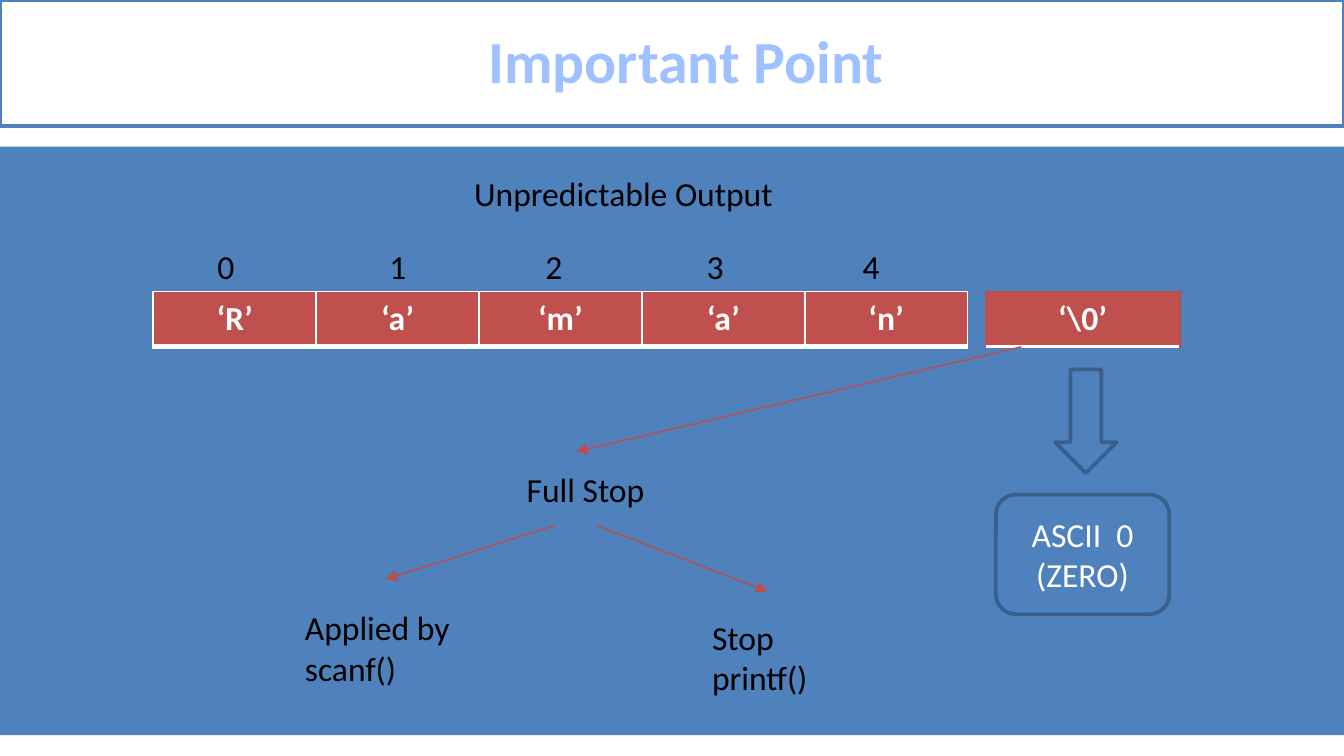
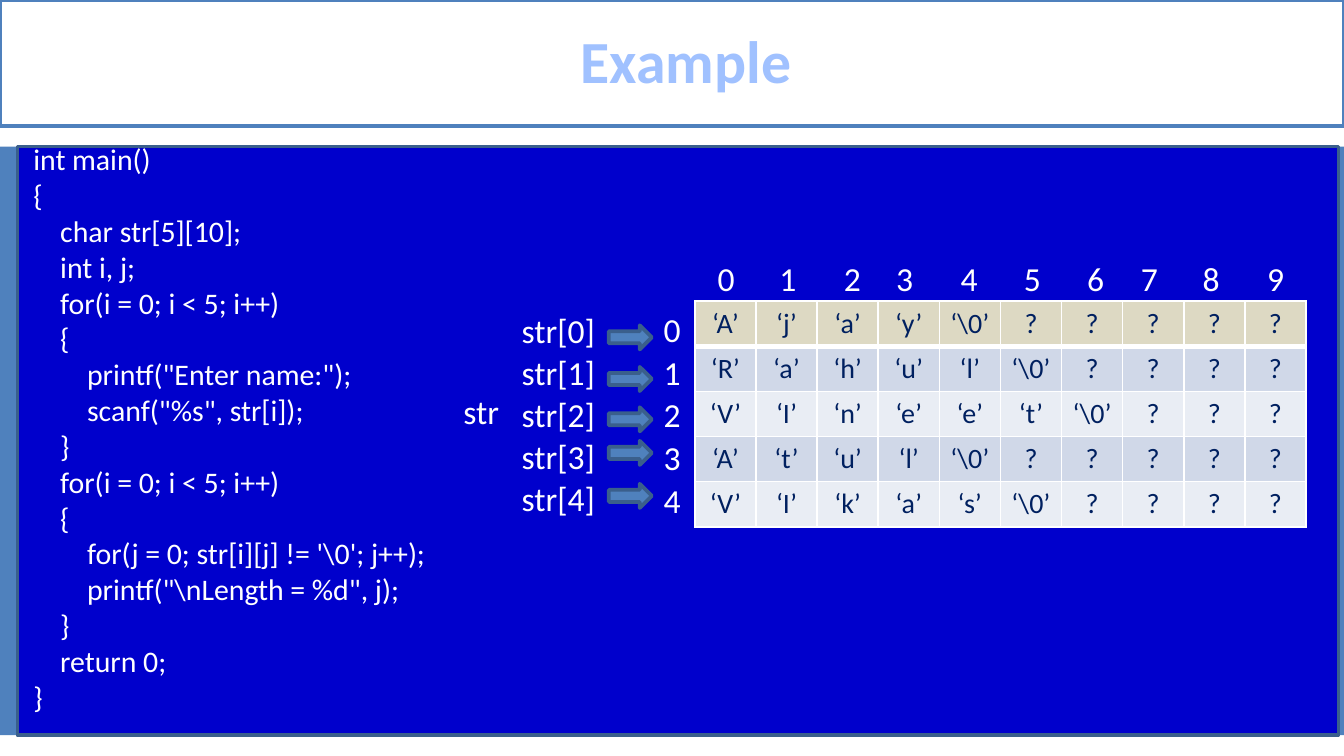
"""Build two slides on C strings: the terminator and an array of names."""
import dataclasses

import lxml.etree
import pptx
import pptx.dml.color
import pptx.enum.shapes
import pptx.enum.text
import pptx.oxml.ns
import pptx.util

Inches = pptx.util.Inches
Pt = pptx.util.Pt
RGB = pptx.dml.color.RGBColor.from_string
qn = pptx.oxml.ns.qn
SHAPE = pptx.enum.shapes.MSO_SHAPE
LEFT = pptx.enum.text.PP_ALIGN.LEFT
CENTER = pptx.enum.text.PP_ALIGN.CENTER
MIDDLE = pptx.enum.text.MSO_ANCHOR.MIDDLE


@dataclasses.dataclass(frozen=True)
class Theme:
    font: str = "Calibri"
    white: str = "FFFFFF"
    black: str = "000000"
    blue: str = "4F81BD"
    outline: str = "3A5F8C"
    title: str = "A0C1FF"
    code_panel: str = "0000CC"
    red: str = "C0504D"
    red_line: str = "BF4C48"
    navy: str = "002060"
    tan: str = "DDD9C3"
    band_dark: str = "D0D8E8"
    band_light: str = "E9EDF4"
    title_size: int = 32
    body_size: int = 18
    code_size: int = 16
    grid_size: int = 15


theme = Theme()


def write(frame, text, size, color, align=LEFT, bold=False):
    frame.text = text
    for para in frame.paragraphs:
        para.alignment = align
        for span in para.runs:
            span.font.name = theme.font
            span.font.size = Pt(size)
            span.font.bold = bold
            span.font.color.rgb = RGB(color)


def add_block(page, kind, area, fill, line=None):
    block = page.shapes.add_shape(kind, *map(Inches, area))
    block.shadow.inherit = False
    block.fill.solid()
    block.fill.fore_color.rgb = RGB(fill)
    if line:
        block.line.color.rgb = RGB(line)
        block.line.width = Pt(2)
    else:
        block.line.fill.background()
    return block


deck = pptx.Presentation()
deck.slide_width = Inches(10)
deck.slide_height = Inches(10 * 9 / 16)

pages = []
for heading in ("Important Point", "Example"):
    page = deck.slides.add_slide(deck.slide_layouts[6])
    add_block(page, SHAPE.RECTANGLE, (0, 1.09, 10, 4.38), theme.blue)
    band = add_block(page, SHAPE.RECTANGLE, (0, 0, 10, 0.94), theme.white, theme.blue)
    band.text_frame.vertical_anchor = MIDDLE
    write(band.text_frame, heading, theme.title_size, theme.title, CENTER, True)
    title_para = band.text_frame.paragraphs[0]
    title_para.line_spacing = 0.96
    title_para._p.get_or_add_pPr().set("marL", str(Inches(0.21)))
    pages.append(page)
point_page, example_page = pages

add_block(example_page, SHAPE.RECTANGLE, (0.13, 1.09, 9.83, 4.38), theme.code_panel, theme.outline)

names = [
    ["‘A’", "‘j’", "‘a’", "‘y’", "‘\\0’"],
    ["‘R’", "‘a’", "‘h’", "‘u’", "‘l’", "‘\\0’"],
    ["‘V’", "‘I’", "‘n’", "‘e’", "‘e’", "‘t’", "‘\\0’"],
    ["‘A’", "‘t’", "‘u’", "‘l’", "‘\\0’"],
    ["‘V’", "‘I’", "‘k’", "‘a’", "‘s’", "‘\\0’"],
]
name_rows = [name + ["?"] * (10 - len(name)) for name in names]
name_fills = [theme.tan] + [theme.band_dark, theme.band_light] * 2
letters = [["‘R’", "‘a’", "‘m’", "‘a’", "‘n’"]]

tables = [
    (point_page, letters, (1.14, 2.17, 6.06, 0.41), [theme.red], theme.body_size,
     theme.white, True, (0.09, 0.05), (theme.white, 1), 3),
    (point_page, [["‘\\0’"]], (7.33, 2.17, 1.45, 0.41), [theme.red], theme.body_size,
     theme.white, True, (0.02, 0.05), (theme.red_line, 0.75), 2),
    (example_page, name_rows, (5.17, 2.24, 4.55, 1.68), name_fills, theme.grid_size,
     theme.navy, False, (0.07, 0.04), (theme.white, 1), 3),
]
for page, rows, area, fills, size, color, bold, margins, thin, heavy in tables:
    table = page.shapes.add_table(len(rows), len(rows[0]), *map(Inches, area)).table
    table.first_row = table.horz_banding = False
    heavy_line = (theme.white, heavy)
    for row_index, row in enumerate(rows):
        borders = {
            "a:lnL": thin,
            "a:lnR": thin,
            "a:lnT": heavy_line if row_index == 1 else thin,
            "a:lnB": heavy_line if row_index == 0 else thin,
        }
        for column_index, text in enumerate(row):
            cell = table.cell(row_index, column_index)
            cell.margin_left = cell.margin_right = Inches(margins[0])
            cell.margin_top = cell.margin_bottom = Inches(margins[1])
            write(cell.text_frame, text, size, color, CENTER, bold)
            for side, (line_color, width) in borders.items():
                border = lxml.etree.SubElement(cell._tc.get_or_add_tcPr(), qn(side), w=str(Pt(width)))
                paint = lxml.etree.SubElement(border, qn("a:solidFill"))
                lxml.etree.SubElement(paint, qn("a:srgbClr"), val=line_color)
            cell.fill.solid()
            cell.fill.fore_color.rgb = RGB(fills[row_index])

for ends in ((7.6, 2.58, 4.29, 3.36), (4.13, 3.91, 2.87, 4.31), (4.44, 3.91, 5.71, 4.4)):
    arrow = point_page.shapes.add_connector(
        pptx.enum.shapes.MSO_CONNECTOR.STRAIGHT, *map(Inches, ends))
    arrow.line.color.rgb = RGB(theme.red_line)
    arrow.line.width = Pt(0.75)
    properties = arrow._element.spPr
    lxml.etree.SubElement(properties.find(qn("a:ln")), qn("a:tailEnd"), type="triangle")
    lxml.etree.SubElement(properties, qn("a:effectLst"))

add_block(point_page, SHAPE.DOWN_ARROW, (7.85, 2.75, 0.46, 0.77), theme.blue, theme.outline)
ascii_box = add_block(point_page, SHAPE.ROUNDED_RECTANGLE, (7.41, 3.68, 1.29, 0.89), theme.blue, theme.outline)
ascii_box.text_frame.vertical_anchor = MIDDLE
write(ascii_box.text_frame, "ASCII  0\n(ZERO)", theme.body_size, theme.white, CENTER)

for top in (2.42, 2.73, 3.03, 3.28, 3.6):
    add_block(example_page, SHAPE.RIGHT_ARROW, (4.53, top, 0.32, 0.18), theme.blue, theme.outline)

point_labels = [
    ("Full Stop", 3.82, 3.44, 1.09, 0.4),
    ("Applied by\nscanf()", 2.17, 4.47, 1.29, 0.71),
    ("Stop\nprintf()", 5.2, 4.54, 0.92, 0.71),
    ("Unpredictable Output", 3.43, 1.24, 2.45, 0.4),
]
for index, left in enumerate((1.52, 2.8, 3.96, 5.16, 6.32)):
    point_labels.append((str(index), left, 1.78, 0.33, 0.4))

example_labels = [("str", 3.35, 2.86, 0.47, 0.4)]
for index in range(5):
    example_labels.append((f"str[{index}]", 3.74, 2.26 + 1.25 / 4 * index, 0.83, 0.4))
    example_labels.append((str(index), 4.84, 2.25 + 1.27 / 4 * index, 0.32, 0.4))
for index, left in enumerate((5.24, 5.7, 6.18, 6.57, 7.05, 7.52, 7.99, 8.39, 8.85, 9.33)):
    example_labels.append((str(index), left, 1.87, 0.32, 0.4))

for page, labels, color, wrap in (
    (point_page, point_labels, theme.black, False),
    (example_page, example_labels, theme.white, True),
):
    for text, *area in labels:
        box = page.shapes.add_textbox(*map(Inches, area))
        box.text_frame.word_wrap = wrap
        box.text_frame.auto_size = pptx.enum.text.MSO_AUTO_SIZE.SHAPE_TO_FIT_TEXT
        align = CENTER if text.startswith("str[") else LEFT
        write(box.text_frame, text, theme.body_size, color, align)

code = r"""int main()
{
    char str[5][10];
    int i, j;
    for(i = 0; i < 5; i++)
    {
        printf("Enter name:");
        scanf("%s", str[i]);
    }
    for(i = 0; i < 5; i++)
    {
        for(j = 0; str[i][j] != '\0'; j++);
        printf("\nLength = %d", j);
    }
    return 0;
}"""
code_box = example_page.shapes.add_textbox(*map(Inches, (-0.35, 1, 4.84, 4.41)))
code_box.text_frame.word_wrap = True
code_box.text_frame.auto_size = pptx.enum.text.MSO_AUTO_SIZE.SHAPE_TO_FIT_TEXT
write(code_box.text_frame, code, theme.code_size, theme.white)
for para in code_box.text_frame.paragraphs:
    indents = para._p.get_or_add_pPr()
    indents.set("marL", str(Inches(0.88)))
    indents.set("indent", str(Inches(-0.38)))

deck.save("out.pptx")
